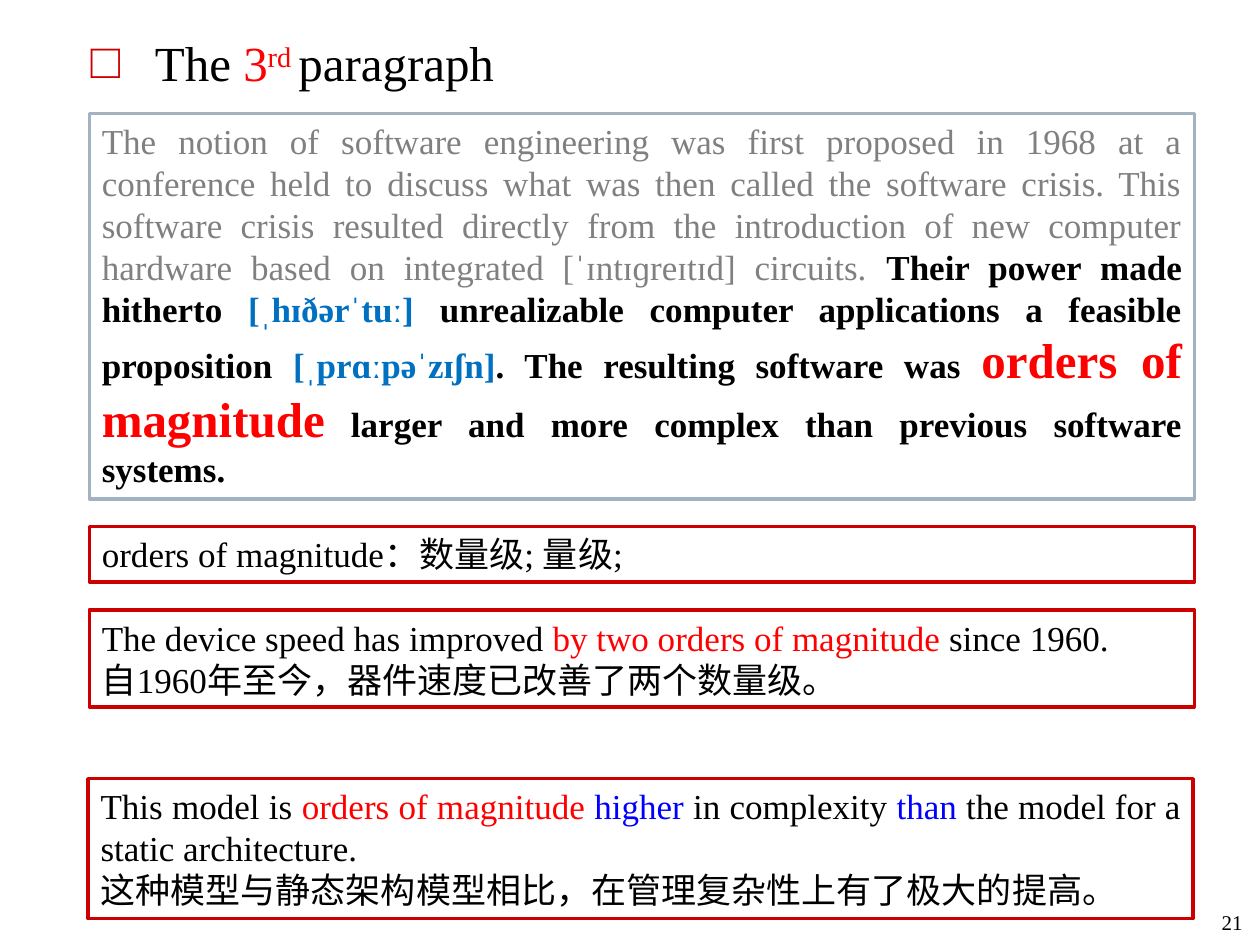
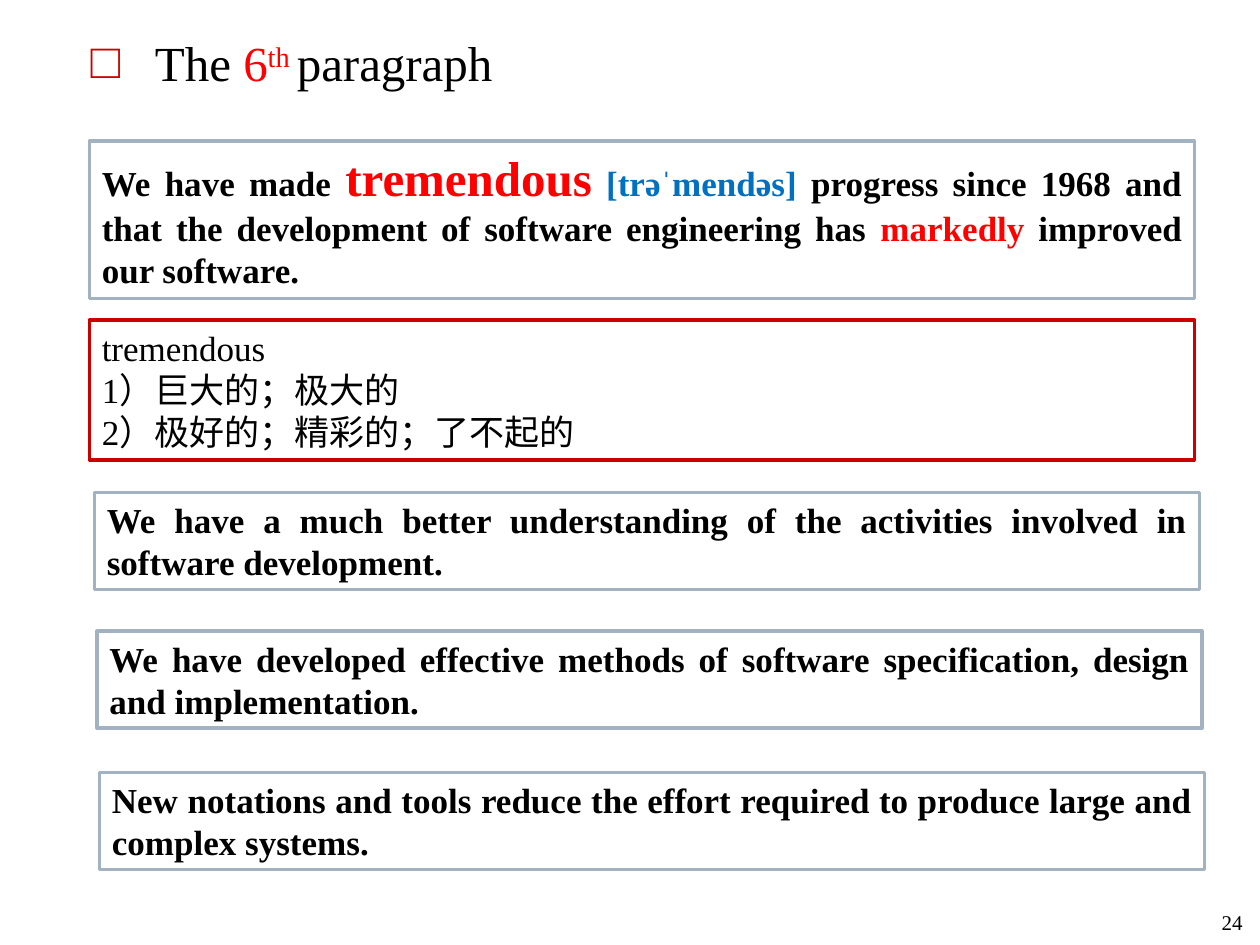
from dataclasses import dataclass
from typing import NamedTuple

from lxml import etree
from pptx import Presentation
from pptx.dml.color import RGBColor
from pptx.enum.shapes import MSO_SHAPE
from pptx.enum.text import MSO_ANCHOR, MSO_AUTO_SIZE as AutoSize, PP_ALIGN
from pptx.oxml.ns import qn
from pptx.util import Inches, Pt

# Shared look
FONT = "Times New Roman"
BLACK, GREY, RED = "000000", "808080", "FF0000"
BLUE, PHONETIC = "0000FF", "0070C0"
TEXT_FRAME, NOTE_FRAME = "A3B2C1", "CC0000"
BOX_LEFT, BOX_WIDTH = 0.71, 8.77
BODY_SIZE, BIG_SIZE, NUMBER_SIZE = 20, 28, 12


class Run(NamedTuple):
    text: str
    color: str = BLACK
    size: int = BODY_SIZE
    bold: bool = False
    raised: bool = False


@dataclass
class Box:
    """A framed text; each inner list of runs is one paragraph."""
    top: float
    height: float
    frame: str
    paragraphs: list[list[Run]]
    left: float = BOX_LEFT
    align: PP_ALIGN = PP_ALIGN.JUSTIFY


@dataclass
class Page:
    number: int
    ordinal: str
    suffix: str
    boxes: list[Box]


def rgb(color: str) -> RGBColor:
    return RGBColor.from_string(color)


def bold(text: str, color: str = BLACK, size: int = BODY_SIZE) -> Run:
    return Run(text, color, size, bold=True)


def add_runs(p, runs: list[Run]) -> None:
    for run in runs:
        r = p.add_run()
        r.text = run.text
        r.font.name = FONT
        r.font.size = Pt(run.size)
        r.font.bold = run.bold
        r.font.color.rgb = rgb(run.color)
        if run.raised:
            r.font._element.set("baseline", "30000")


def add_square_bullet(p, color: str) -> None:
    pPr = p._p.get_or_add_pPr()
    pPr.set("marL", str(Inches(0.51)))
    pPr.set("indent", str(-Inches(0.51)))
    bu_clr = etree.SubElement(pPr, qn("a:buClr"))
    etree.SubElement(bu_clr, qn("a:srgbClr")).set("val", color)
    etree.SubElement(pPr, qn("a:buFont")).set("typeface", FONT)
    etree.SubElement(pPr, qn("a:buChar")).set("char", "□")


def add_heading(s, page: Page) -> None:
    title, body = s.shapes.title, s.placeholders[1]
    title._element.getparent().remove(title._element)
    body.left, body.top = Inches(0.62), Inches(0.21)
    body.width, body.height = Inches(8.75), Inches(5.43)
    p = body.text_frame.paragraphs[0]
    p.space_before = Pt(3)
    add_square_bullet(p, NOTE_FRAME)
    add_runs(p, [
        Run("The ", size=BIG_SIZE),
        Run(page.ordinal, RED, BIG_SIZE),
        Run(page.suffix + " ", RED, BIG_SIZE, raised=True),
        Run("paragraph", size=BIG_SIZE),
    ])


def add_page_number(s, number: int) -> None:
    sp = s.shapes.add_textbox(Inches(9.37), Inches(6.9), Inches(0.59), Inches(0.57))
    tf = sp.text_frame
    tf.word_wrap = True
    tf.vertical_anchor = MSO_ANCHOR.BOTTOM
    p = tf.paragraphs[0]
    p.alignment = PP_ALIGN.RIGHT
    add_runs(p, [Run(str(number), size=NUMBER_SIZE)])


def add_box(s, box: Box) -> None:
    sp = s.shapes.add_shape(MSO_SHAPE.RECTANGLE, Inches(box.left), Inches(box.top),
                            Inches(BOX_WIDTH), Inches(box.height))
    sp.shadow.inherit = False
    sp.fill.solid()
    sp.fill.fore_color.rgb = rgb("FFFFFF")
    sp.line.color.rgb = rgb(box.frame)
    sp.line.width = Pt(2)
    tf = sp.text_frame
    tf.word_wrap = True
    tf.auto_size = AutoSize.SHAPE_TO_FIT_TEXT
    tf.vertical_anchor = MSO_ANCHOR.TOP
    for i, runs in enumerate(box.paragraphs):
        p = tf.add_paragraph() if i else tf.paragraphs[0]
        p.alignment = box.align
        add_runs(p, runs)


PAGES = [
    Page(21, "3", "rd", [
        Box(0.9, 3.06, TEXT_FRAME, [[
            Run("The notion of software engineering was first proposed in 1968 at a "
                "conference held to discuss what was then called the software crisis. "
                "This software crisis resulted directly from the introduction of new "
                "computer hardware based on integrated [ˈɪntɪɡreɪtɪd] circuits. ", GREY),
            bold("Their power made hitherto "),
            bold("[ˌhɪðərˈtuː] ", PHONETIC),
            bold("unrealizable computer applications a feasible proposition "),
            bold("[ˌprɑːpəˈzɪʃn]", PHONETIC),
            bold(". The resulting software was "),
            bold("orders of magnitude", RED, BIG_SIZE),
            bold(" larger and more complex than previous software systems."),
        ]]),
        Box(4.18, 0.44, NOTE_FRAME, [[Run("orders of magnitude：数量级; 量级;")]],
            align=PP_ALIGN.LEFT),
        Box(4.84, 0.77, NOTE_FRAME, [
            [Run("The device speed has improved "),
             Run("by two orders of magnitude ", RED),
             Run("since 1960.")],
            [Run("自1960年至今，器件速度已改善了两个数量级。 ")],
        ]),
        Box(6.18, 1.11, NOTE_FRAME, [
            [Run("This model is "),
             Run("orders of magnitude ", RED),
             Run("higher", BLUE),
             Run(" in complexity "),
             Run("than", BLUE),
             Run(" the model for a static architecture.")],
            [Run("这种模型与静态架构模型相比，在管理复杂性上有了极大的提高。 ")],
        ], left=0.7),
    ]),
    Page(24, "6", "th", [
        Box(1.12, 1.25, TEXT_FRAME, [[
            bold("We have made "),
            bold("tremendous", RED, BIG_SIZE),
            bold(" "),
            bold("[trəˈmendəs]", PHONETIC),
            bold(" progress since 1968 and that the development of software "
                 "engineering has "),
            bold("markedly", RED),
            bold(" improved our software. "),
        ]]),
        Box(2.54, 1.11, NOTE_FRAME, [
            [Run("tremendous")],
            [Run("1）巨大的；极大的")],
            [Run("2）极好的；精彩的；了不起的 ")],
        ]),
        Box(3.91, 0.77, TEXT_FRAME, [[
            bold("We have a much better understanding of the activities involved in "
                 "software development. ")]], left=0.75),
        Box(5.01, 0.77, TEXT_FRAME, [[
            bold("We have developed effective methods of software specification, "
                 "design and implementation.")]], left=0.77),
        Box(6.13, 0.77, TEXT_FRAME, [[
            bold("New notations and tools reduce the effort required to produce "
                 "large and complex systems.")]], left=0.79),
    ]),
]


def main() -> None:
    prs = Presentation()
    prs.slide_width, prs.slide_height = Inches(10), Inches(7.5)
    for page in PAGES:
        s = prs.slides.add_slide(prs.slide_layouts[1])
        add_heading(s, page)
        add_page_number(s, page.number)
        for box in page.boxes:
            add_box(s, box)
    prs.save("out.pptx")


if __name__ == "__main__":
    main()
